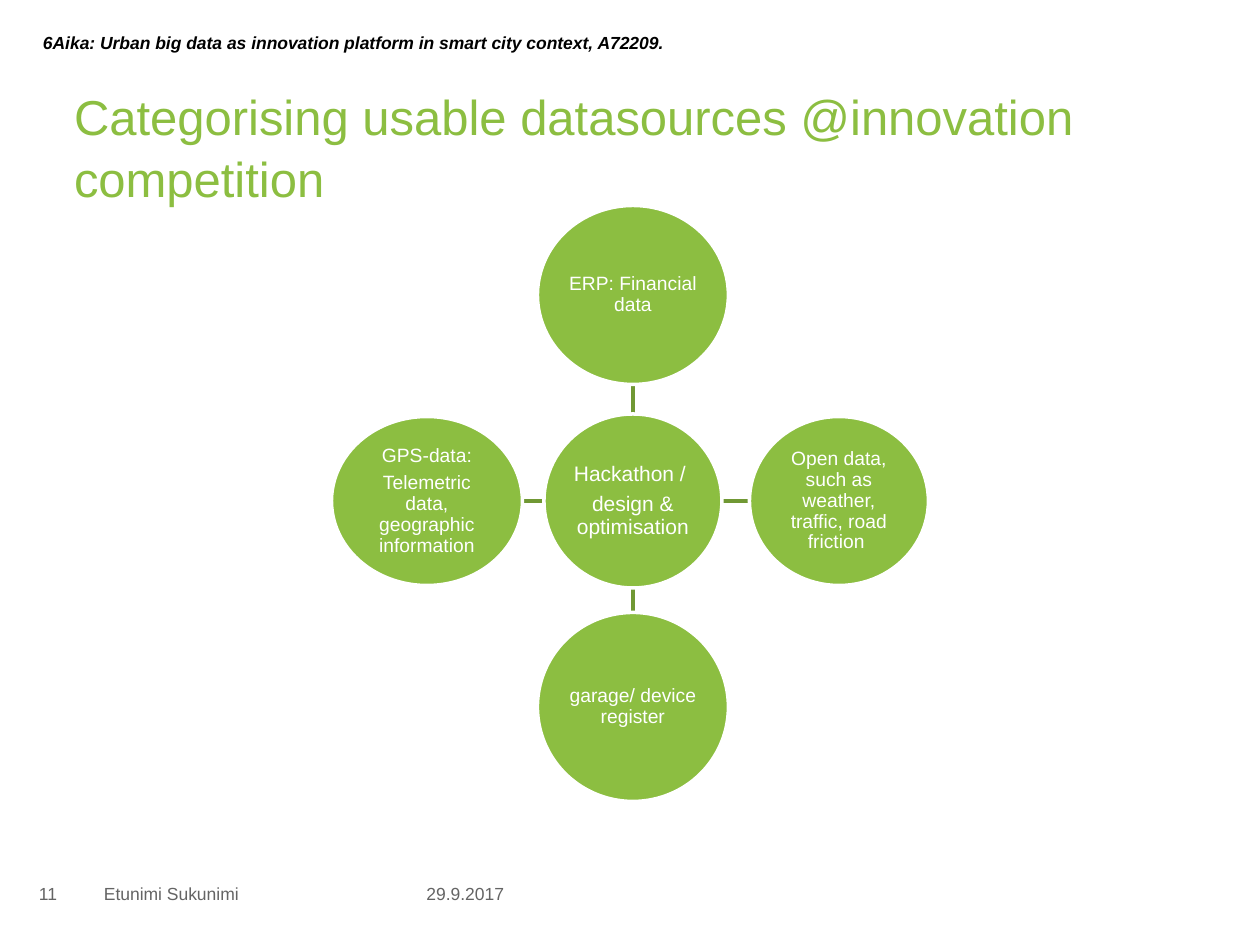
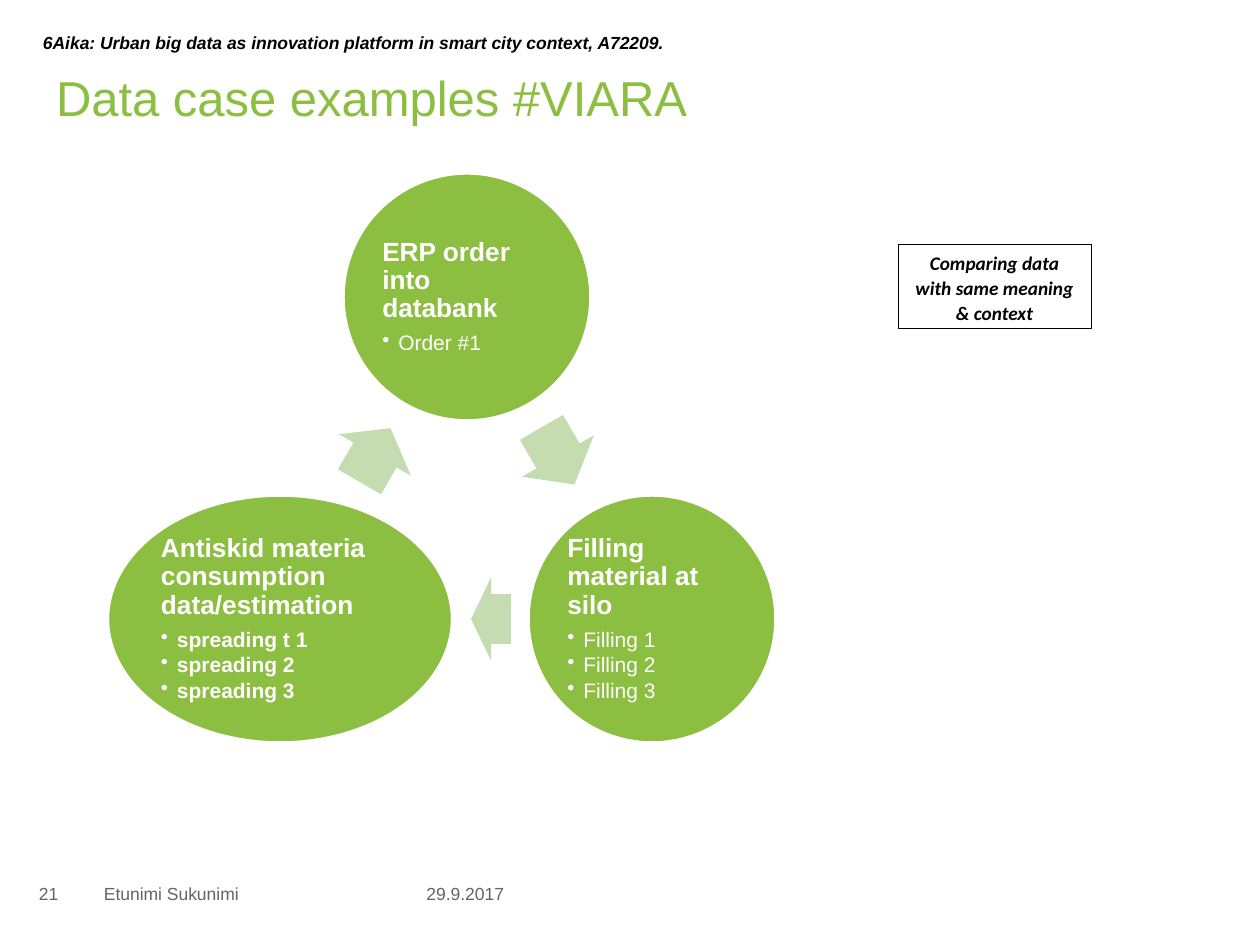
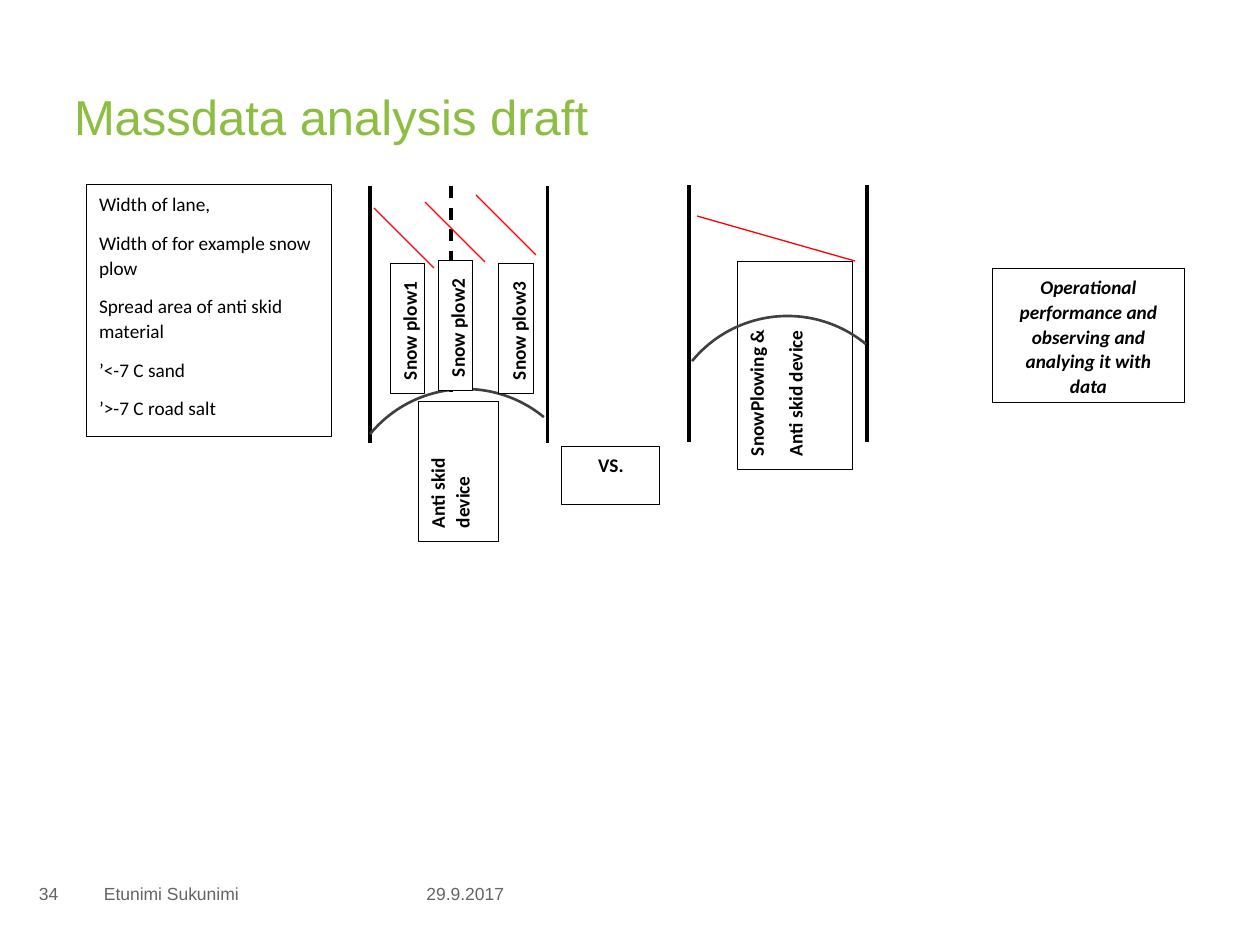
import pptx
import pptx.util
import pptx.dml.color
import pptx.enum.dml
import pptx.enum.shapes
import pptx.enum.text
import pptx.oxml
import pptx.oxml.ns

EMU_PER_PX = 914400 / 126
SHAPES = pptx.enum.shapes.MSO_SHAPE
ALIGN = pptx.enum.text.PP_ALIGN
ANCHOR = pptx.enum.text.MSO_ANCHOR
COLORS = {
    "green": "8CBE41", "dark_green": "709834", "pale_green": "C5DBB0",
    "white": "FFFFFF", "black": "000000", "grey": "646464",
    "charcoal": "404040", "red": "FF0000",
}
HEADER = "6Aika: Urban big data as innovation platform in smart city context, A72209."
AUTHOR = "Etunimi Sukunimi"
DATE = "29.9.2017"


def px(length):
    return pptx.util.Emu(round(length * EMU_PER_PX))


def color(name):
    return pptx.dml.color.RGBColor.from_string(COLORS[name])


def style_para(para, size, font="Arial", ink="black", bold=False, italic=False,
               align=ALIGN.LEFT, spacing=1.0, after=0):
    para.alignment = align
    para.line_spacing = spacing
    para.space_after = pptx.util.Pt(after)
    for span in para.runs:
        span.font.name = font
        span.font.size = pptx.util.Pt(size)
        span.font.bold = bold
        span.font.italic = italic
        span.font.color.rgb = color(ink)


def add_bullet(para):
    properties = para._p.get_or_add_pPr()
    properties.set("marL", str(px(16)))
    properties.set("indent", str(-px(16)))
    bullet = pptx.oxml.parse_xml(
        f'<a:buChar {pptx.oxml.ns.nsdecls("a")} char="•"/>')
    properties.append(bullet)


def set_frame(frame, anchor, insets):
    """Wrap the text and set left, top, right and bottom insets in px."""
    frame.word_wrap = True
    frame.auto_size = pptx.enum.text.MSO_AUTO_SIZE.NONE
    frame.vertical_anchor = anchor
    (frame.margin_left, frame.margin_top,
     frame.margin_right, frame.margin_bottom) = map(px, insets)


def add_shape(slide, kind, box, fill=None, line=None, width=0, rotation=0):
    shape = slide.shapes.add_shape(kind, *map(px, box))
    shape.shadow.inherit = False
    shape.rotation = rotation
    if fill:
        shape.fill.solid()
        shape.fill.fore_color.rgb = color(fill)
    else:
        shape.fill.background()
    if line:
        shape.line.color.rgb = color(line)
        shape.line.width = pptx.util.Pt(width)
    else:
        shape.line.fill.background()
    return shape


def add_line(slide, start, end, ink, width, dashed=False):
    line = slide.shapes.add_connector(
        pptx.enum.shapes.MSO_CONNECTOR.STRAIGHT, *map(px, (*start, *end)))
    line.line.color.rgb = color(ink)
    line.line.width = pptx.util.Pt(width)
    if dashed:
        line.line.dash_style = pptx.enum.dml.MSO_LINE.DASH
    line._element.spPr.append(
        pptx.oxml.parse_xml(f'<a:effectLst {pptx.oxml.ns.nsdecls("a")}/>'))


def add_text(slide, box, text, anchor=ANCHOR.MIDDLE, insets=(13, 6, 0, 6), **style):
    text_box = slide.shapes.add_textbox(*map(px, box))
    set_frame(text_box.text_frame, anchor, insets)
    text_box.text_frame.text = text
    style_para(text_box.text_frame.paragraphs[0], **style)


def add_ellipse(slide, center, size, inset):
    x, y = center
    width, height = size
    ellipse = add_shape(slide, SHAPES.OVAL,
                        (x - width / 2, y - height / 2, width, height),
                        "green", "white", 2)
    set_frame(ellipse.text_frame, ANCHOR.MIDDLE, [inset] * 4)
    return ellipse.text_frame


def add_label(slide, box, lines, upward=False, **style):
    """Framed note in the box as seen; upward turns its text to read upwards."""
    x, y, width, height = box
    if upward:
        box = (x + (width - height) / 2, y + (height - width) / 2, height, width)
    label = add_shape(slide, SHAPES.RECTANGLE, box, "white", "black", 0.5,
                      270 if upward else 0)
    set_frame(label.text_frame, ANCHOR.TOP, (13, 6, 13, 6))
    label.text_frame.text = "\n".join(lines)
    for para in label.text_frame.paragraphs:
        style_para(para, 11, "Calibri", spacing=1.07, after=8, **style)


def add_page(deck, title, number, title_at=(74, 84), header=True):
    slide = deck.slides.add_slide(deck.slide_layouts[5])
    heading = slide.shapes.title
    heading.left, heading.top, heading.width, heading.height = map(
        px, (*title_at, 1111, 123))
    set_frame(heading.text_frame, ANCHOR.TOP, [0] * 4)
    heading.text_frame.text = title
    style_para(heading.text_frame.paragraphs[0], 28, ink="green", spacing=1.05)

    footer = {"size": 10, "ink": "grey"}
    add_text(slide, (26, 869, 59, 49), str(number), **footer)
    add_text(slide, (91, 869, 273, 49), AUTHOR, **footer)
    add_text(slide, (368, 869, 149, 49), DATE, insets=(13, 6, 13, 6),
             align=ALIGN.RIGHT, **footer)
    if header:
        add_text(slide, (30, 26, 1132, 55), HEADER, ANCHOR.TOP,
                 size=10, bold=True, italic=True)
    return slide


def add_hub(slide, center, radius):
    """Central ellipse with four satellites at the same distance."""
    x, y = center
    hub_size = (178, 174)
    satellites = [
        ((0, -1), (191, 179), ["ERP: Financial data"]),
        ((1, 0), (179, 169),
         ["Open data, such as weather, traffic, road friction "]),
        ((0, 1), (191, 189), ["garage/ device register"]),
        ((-1, 0), (191, 169),
         ["GPS-data:", "Telemetric data, geographic information"]),
    ]
    ellipses = [(center, hub_size, ["Hackathon / ", "design & optimisation"], 12)]
    for (dx, dy), size, lines in satellites:
        axis = 0 if dx else 1
        near = hub_size[axis] / 2
        far = radius - size[axis] / 2
        add_line(slide, (x + dx * near, y + dy * near),
                 (x + dx * far, y + dy * far), "dark_green", 2)
        ellipses.append(((x + dx * radius, y + dy * radius), size, lines, 11))
    for place, size, lines, points in ellipses:
        frame = add_ellipse(slide, place, size, 1)
        frame.text = "\n".join(lines)
        for para in frame.paragraphs:
            style_para(para, points, ink="white", align=ALIGN.CENTER,
                       spacing=0.9, after=round(0.35 * points, 1))


def add_cycle(slide, left, top):
    """Three ellipses joined by arrows, clockwise from the top."""
    steps = [
        ((360, 124), 248, "ERP order into databank", ["Order #1"], False),
        ((545, 446), 248, "Filling material at silo",
         ["Filling 1", "Filling 2", "Filling 3"], False),
        ((173, 446), 345, "Antiskid materia consumption data/estimation",
         ["spreading t 1", "spreading 2", "spreading 3"], True),
    ]
    arrows = [((451, 283), 66, 60), ((384, 446), 40, 180), ((268, 282), 62, 300)]
    for (x, y), width, heading, items, bold_items in steps:
        frame = add_ellipse(slide, (left + x, top + y), (width, 248), 3)
        frame.text = "\n".join([heading, *items])
        first, *rest = frame.paragraphs
        style_para(first, 15, ink="white", bold=True, spacing=0.9, after=5.25)
        for para in rest:
            add_bullet(para)
            para.level = 1
            style_para(para, 12, ink="white", bold=bold_items,
                       spacing=0.9, after=1.8)
    for (x, y), length, rotation in arrows:
        arrow = add_shape(slide, SHAPES.RIGHT_ARROW,
                          (left + x - length / 2, top + y - 41.5, length, 83),
                          "pale_green", rotation=rotation)
        arrow.adjustments[0] = 0.6
        arrow.adjustments[1] = 0.5


def add_road(slide, left, top):
    for x in (left, left + 178):
        add_line(slide, (x, top), (x, top + 257), "black", 1.75)


def add_spread_arc(slide, left, top):
    add_shape(slide, SHAPES.ARC, (left, top, 247, 247), line="charcoal",
              width=1.5, rotation=309.4)


def add_separate_plows(slide, left, top):
    add_line(slide, (left + 81, top), (left + 81, top + 257), "black", 1.75, True)
    add_road(slide, left, top)
    for x, y in ((4, 22), (55, 16), (106, 9)):
        add_line(slide, (left + x, top + y), (left + x + 60, top + y + 60),
                 "red", 0.75)
    add_label(slide, (left + 48, top + 215, 80, 140), ["Anti skid device"],
              upward=True, bold=True)
    add_spread_arc(slide, left - 28, top + 203)
    for number, (x, y) in enumerate(((20, 77), (68, 74), (129, 77)), 1):
        add_label(slide, (left + x, top + y, 35, 130), [f"Snow plow{number}"],
                  upward=True, bold=True)


def add_combined_plow(slide, left, top):
    add_road(slide, left, top)
    add_label(slide, (left + 48, top + 76, 116, 208),
              ["SnowPlowing &", "Anti skid device"], upward=True, bold=True)
    add_spread_arc(slide, left - 25, top + 131)
    add_line(slide, (left + 8, top + 31), (left + 166, top + 76), "red", 0.75)


def main():
    deck = pptx.Presentation()
    deck.slide_width, deck.slide_height = px(1260), px(945)
    remark = {"bold": True, "italic": True, "align": ALIGN.CENTER}

    sources = add_page(
        deck, "Categorising usable datasources @innovation competition", 11)
    add_hub(sources, (633, 501), 206)

    cases = add_page(deck, "Data case examples #VIARA", 21, (56, 65))
    add_cycle(cases, 107, 173)
    add_label(cases, (898, 244, 193, 84),
              ["Comparing data with same meaning & context"], **remark)

    analysis = add_page(deck, "Massdata analysis draft", 34, header=False)
    add_label(analysis, (992, 268, 193, 134),
              ["Operational performance and observing and analying it with data"],
              **remark)
    add_label(analysis, (86, 185, 245, 252), [
        "Width of lane,", "Width of for example snow plow",
        "Spread area of anti skid material", "’<-7 C sand", "’>-7 C road salt"])
    add_separate_plows(analysis, 370, 186)
    add_combined_plow(analysis, 689, 185)
    add_label(analysis, (562, 446, 98, 58), ["VS."], bold=True, align=ALIGN.CENTER)

    deck.save("out.pptx")


if __name__ == "__main__":
    main()
